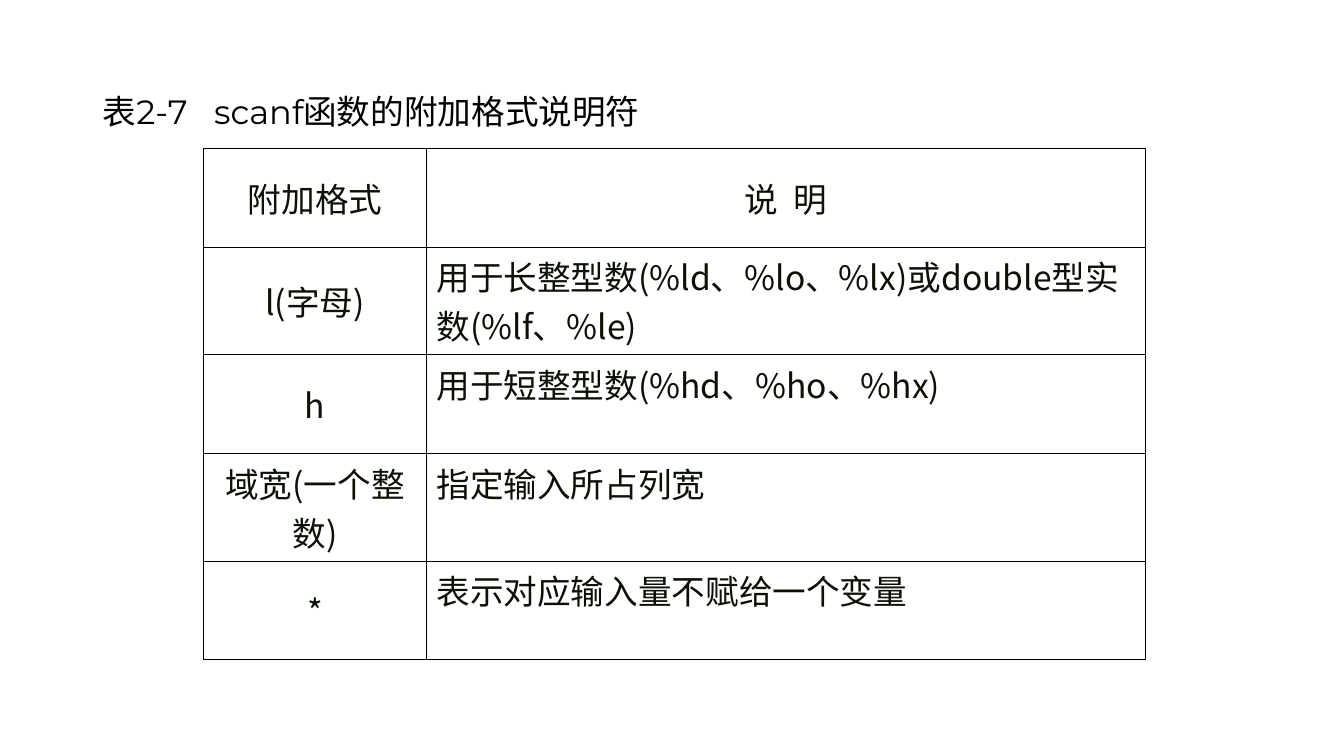
from dataclasses import dataclass

from lxml import etree
from pptx import Presentation, util as u
from pptx.dml.color import RGBColor
from pptx.enum import text
from pptx.oxml import ns

CJK_FONT = "Noto Sans CJK SC"
TITLE_FONT = "Montserrat"
BLACK = "000000"
TABLE_INK = "0B1107"


@dataclass
class Piece:
    wording: str
    tracking: float = 0


@dataclass
class Specifier:
    name: str
    meaning: list[Piece]
    meaning_centered: bool = False


def color(hex_code: str) -> RGBColor:
    return RGBColor.from_string(hex_code)


def add_runs(paragraph, pieces: list[Piece], font_name: str, ink: str) -> None:
    for piece in pieces:
        run = paragraph.add_run()
        run.text = piece.wording
        run.font.size = u.Pt(24)
        run.font.name = font_name
        run.font.color.rgb = color(ink)
        properties = run.font._element
        etree.SubElement(properties, ns.qn("a:ea"), typeface=CJK_FONT)
        if piece.tracking:
            properties.set("spc", str(round(piece.tracking * 100)))


def border_cell(cell, ink: str, width: u.Length) -> None:
    properties = cell._tc.get_or_add_tcPr()
    for position, side in enumerate(("lnL", "lnR", "lnT", "lnB")):
        line = etree.Element(ns.qn(f"a:{side}"), w=str(width))
        fill = etree.SubElement(line, ns.qn("a:solidFill"))
        etree.SubElement(fill, ns.qn("a:srgbClr"), val=ink)
        properties.insert(position, line)


def fill_cell(cell, pieces: list[Piece], centered: bool) -> None:
    cell.fill.background()
    border_cell(cell, BLACK, u.Pt(0.5))
    anchors = text.MSO_ANCHOR
    cell.vertical_anchor = anchors.MIDDLE if centered else anchors.TOP
    paragraph = cell.text_frame.paragraphs[0]
    paragraph.alignment = text.PP_ALIGN.CENTER if centered else text.PP_ALIGN.LEFT
    spacing = etree.SubElement(paragraph._p.get_or_add_pPr(), ns.qn("a:spcBef"))
    etree.SubElement(spacing, ns.qn("a:spcPct"), val="20000")
    add_runs(paragraph, pieces, CJK_FONT, TABLE_INK)


CAPTION = [Piece("表2-7"), Piece(" ", 12.6), Piece("scanf函数的附加格式说明符")]
SPECIFIERS = [
    Specifier("附加格式", [Piece("说"), Piece(" ", 5.4), Piece("明")], True),
    Specifier("l(字母)", [Piece("用于长整型数(%ld、%lo、%lx)或double型实数(%lf、%le)")]),
    Specifier("h", [Piece("用于短整型数(%hd、%ho、%hx)")]),
    Specifier("域宽(一个整数)", [Piece("指定输入所占列宽")]),
    Specifier("*", [Piece("表示对应输入量不赋给一个变量")]),
]
COLUMN_WIDTHS = (2.21, 7.13)
ROW_HEIGHT = 0.98

deck = Presentation()
deck.slide_width, deck.slide_height = u.Inches(13.33), u.Inches(7.5)
slide = deck.slides.add_slide(deck.slide_layouts[5])

caption = slide.shapes.title
caption.left, caption.top = u.Inches(0.92), u.Inches(0.4)
caption.width, caption.height = u.Inches(11.5), u.Inches(1.45)
caption.text_frame.vertical_anchor = text.MSO_ANCHOR.MIDDLE
caption_line = caption.text_frame.paragraphs[0]
caption_line.alignment = text.PP_ALIGN.LEFT
caption_line.line_spacing = 0.9
add_runs(caption_line, CAPTION, TITLE_FONT, BLACK)

specifier_table = slide.shapes.add_table(
    len(SPECIFIERS), len(COLUMN_WIDTHS), u.Inches(2.02), u.Inches(1.47),
    u.Inches(sum(COLUMN_WIDTHS)), u.Inches(ROW_HEIGHT * len(SPECIFIERS)),
).table
specifier_table.first_row = specifier_table.horz_banding = False
for column, width in zip(specifier_table.columns, COLUMN_WIDTHS):
    column.width = u.Inches(width)
for row, specifier in zip(specifier_table.rows, SPECIFIERS):
    row.height = u.Inches(ROW_HEIGHT)
    fill_cell(row.cells[0], [Piece(specifier.name)], True)
    fill_cell(row.cells[1], specifier.meaning, specifier.meaning_centered)

deck.save("out.pptx")
